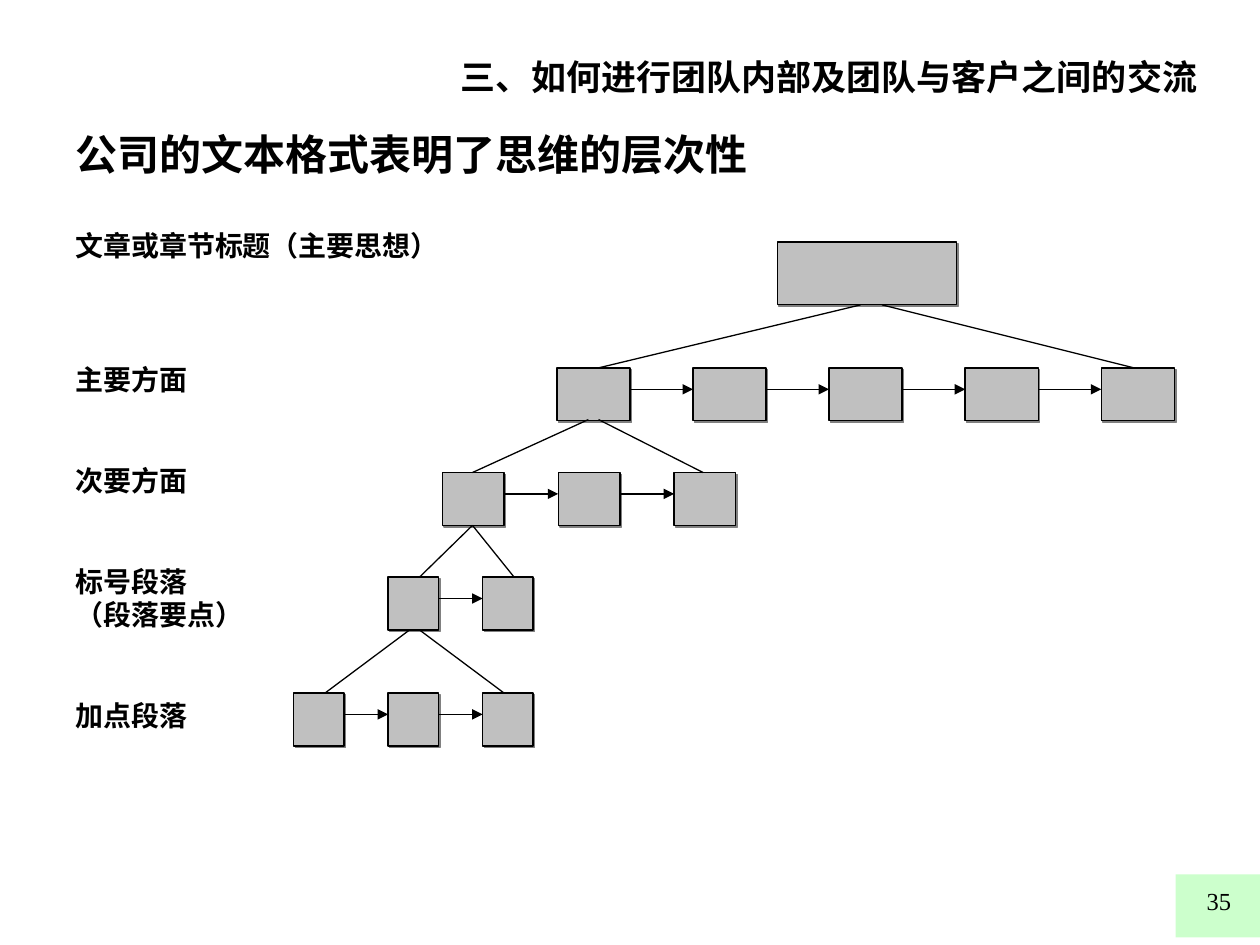
from lxml import etree
from pptx import Presentation
from pptx import util as u
from pptx.dml.color import RGBColor
from pptx.enum import shapes, text
from pptx.oxml import parse_xml
from pptx.oxml.ns import nsdecls, qn

COLORS = {"ink": "000000", "box": "C0C0C0", "shadow": "808080", "corner": "CCFFCC"}


class SlideBuilder:
    latin = "Times New Roman"
    east_asian = "Noto Sans CJK SC"
    line_ratio = 1.2
    line_width = u.Pt(0.75)

    def __init__(self, presentation):
        self.slide = presentation.slides.add_slide(presentation.slide_layouts[1])

    def color(self, name):
        return RGBColor.from_string(COLORS[name])

    def place(self, shape, left, top, width, height):
        shape.left, shape.top = u.Inches(left), u.Inches(top)
        shape.width, shape.height = u.Inches(width), u.Inches(height)

    def fill_text(self, shape, lines, size, bold=True, latin=None, align=text.PP_ALIGN.LEFT):
        frame = shape.text_frame
        frame.word_wrap = True
        frame.auto_size = text.MSO_AUTO_SIZE.NONE
        frame.vertical_anchor = text.MSO_ANCHOR.TOP
        pitch = size * self.line_ratio
        for index, (words, gap_lines) in enumerate(lines):
            paragraph = frame.add_paragraph() if index else frame.paragraphs[0]
            paragraph.alignment = align
            paragraph.line_spacing = u.Pt(pitch)
            paragraph.space_before = u.Pt(gap_lines * pitch)
            paragraph.space_after = u.Pt(0)
            properties = paragraph._p.get_or_add_pPr()
            properties.set("marL", "0")
            properties.set("indent", "0")
            etree.SubElement(properties, qn("a:buNone"))
            run = paragraph.add_run()
            run.text = words
            run.font.size = u.Pt(size)
            run.font.bold = bold
            run.font.name = latin or self.latin
            run.font.color.rgb = self.color("ink")
            east_asian = etree.SubElement(run._r.get_or_add_rPr(), qn("a:ea"))
            east_asian.set("typeface", self.east_asian)

    def title(self, words, place):
        shape = self.slide.shapes.title
        self.place(shape, *place)
        self.fill_text(shape, [(words, 0)], 24)

    def body(self, lines, place):
        shape = self.slide.placeholders[1]
        self.place(shape, *place)
        self.fill_text(shape, lines, 16)

    def label(self, words, place, size, **style):
        shape = self.slide.shapes.add_textbox(*map(u.Inches, place))
        self.fill_text(shape, [(words, 0)], size, **style)

    def rectangle(self, place, fill):
        shape = self.slide.shapes.add_shape(
            shapes.MSO_SHAPE.RECTANGLE, *map(u.Inches, place))
        shape.shadow.inherit = False
        shape.fill.solid()
        shape.fill.fore_color.rgb = self.color(fill)
        shape.line.fill.background()
        return shape

    def box(self, *place):
        shape = self.rectangle(place, "box")
        shape.line.color.rgb = self.color("ink")
        shape.line.width = self.line_width
        effects = shape._element.spPr.find(qn("a:effectLst"))
        effects.append(parse_xml(
            f'<a:outerShdw {nsdecls("a")} blurRad="0" dist="{u.Pt(1.4)}" dir="2700000" '
            f'algn="ctr" rotWithShape="0"><a:srgbClr val="{COLORS["shadow"]}"/></a:outerShdw>'))

    def line(self, x1, y1, x2, y2, arrow=False):
        connector = self.slide.shapes.add_connector(
            shapes.MSO_CONNECTOR.STRAIGHT, *map(u.Inches, (x1, y1, x2, y2)))
        connector.line.color.rgb = self.color("ink")
        connector.line.width = self.line_width
        if arrow:
            tail = etree.SubElement(connector.line._get_or_add_ln(), qn("a:tailEnd"))
            tail.set("type", "triangle")
        etree.SubElement(connector._element.spPr, qn("a:effectLst"))

    def chain(self, left, top, width, pitch, count):
        for index in range(count):
            x = left + index * pitch
            self.box(x, top, width, 0.42)
            if index:
                self.line(x - pitch + width, top + 0.17, x, top + 0.17, arrow=True)


def main():
    presentation = Presentation()
    presentation.slide_width, presentation.slide_height = u.Inches(10), u.Inches(7.5)
    builder = SlideBuilder(presentation)

    builder.rectangle((9.33, 6.94, 0.67, 0.5), "corner")
    builder.label("三、如何进行团队内部及团队与客户之间的交流", (3.56, 0.39, 6.22, 0.44), 20,
                  latin=builder.east_asian)
    builder.title("公司的文本格式表明了思维的层次性", (0.5, 0.97, 5.83, 0.5))
    builder.body([
        ("文章或章节标题（主要思想）", 0),
        ("主要方面", 3),
        ("次要方面", 2),
        ("标号段落", 2),
        ("（段落要点）", 0),
        ("加点段落", 2),
    ], (0.5, 1.76, 5.83, 4.1))

    builder.box(6.17, 1.92, 1.42, 0.5)
    for left, top, width, pitch, count in [
        (4.42, 2.92, 0.58, 1.08, 5),
        (3.51, 3.75, 0.49, 0.92, 3),
        (3.08, 4.58, 0.4, 0.75, 2),
        (2.33, 5.5, 0.4, 0.75, 3),
    ]:
        builder.chain(left, top, width, pitch, count)

    for parent_y, child_y, branches in [
        (2.42, 2.92, [(6.83, 4.75), (7, 9)]),
        (3.33, 3.75, [(4.67, 3.75), (4.75, 5.58)]),
        (4.17, 4.58, [(3.75, 3.33), (3.75, 4.08)]),
        (5, 5.5, [(3.25, 2.58), (3.33, 4)]),
    ]:
        for parent_x, child_x in branches:
            builder.line(parent_x, parent_y, child_x, child_y)

    builder.label("35", (7.79, 6.98, 2.08, 0.5), 14, bold=False,
                  align=text.PP_ALIGN.RIGHT)
    presentation.save("out.pptx")


if __name__ == "__main__":
    main()
